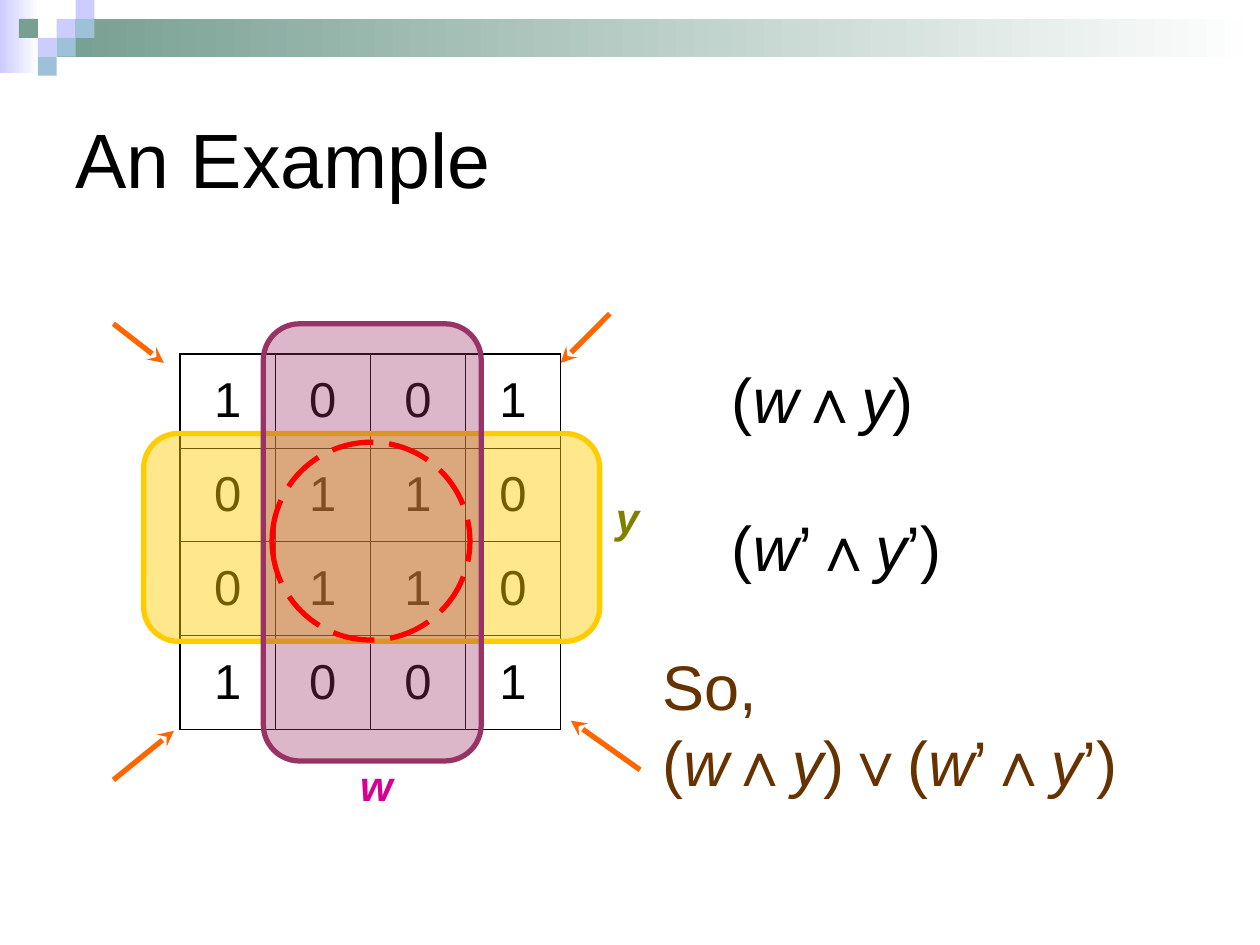
"""Build a slide that reads a Boolean expression off a four by four map."""
from itertools import groupby

from lxml.etree import SubElement
from pptx import Presentation
from pptx.dml.color import RGBColor
from pptx.enum.dml import MSO_LINE
from pptx.enum.shapes import MSO_CONNECTOR, MSO_SHAPE
from pptx.enum.text import MSO_ANCHOR, MSO_AUTO_SIZE, PP_ALIGN
from pptx.oxml import parse_xml
from pptx.oxml.ns import nsdecls, qn
from pptx.util import Inches, Pt

THEME = {
    "font": "Arial",
    "title": 44, "formula": 36, "cell": 28, "label": 24,
    "black": "000000", "white": "FFFFFF",
    "lilac": "CCCCFF", "green": "779F92", "sky": "9DC2D7",
    "yellow": "FFCC00", "plum": "993366", "red": "FF0000", "orange": "FF6600",
    "olive": "808000", "magenta": "D60093", "brown": "663300",
}


def write(frame, text, size, color, bold=False, before=0, align=PP_ALIGN.LEFT):
    """Fill a text frame, with the variables w and y in italics."""
    paragraph = frame.paragraphs[0]
    paragraph.alignment = align
    paragraph.space_before = Pt(before)
    for is_variable, letters in groupby(text, lambda letter: letter in "wy"):
        run = paragraph.add_run()
        run.text = "".join(letters)
        run.font.color.rgb = RGBColor.from_string(THEME[color])
        settings = {"name": THEME["font"], "size": Pt(THEME[size]),
                    "bold": bold, "italic": is_variable}
        for name, value in settings.items():
            setattr(run.font, name, value)


def add_shape(kind, box, fill=None, alpha=100, line=None):
    """Add a preset shape with an optional translucent fill and outline."""
    shape = slide.shapes.add_shape(kind, *map(Inches, box))
    shape.shadow.inherit = False
    if fill:
        shape.fill.solid()
        shape.fill.fore_color.rgb = RGBColor.from_string(THEME[fill])
        if alpha < 100:
            color = shape.fill._xPr.find(qn("a:solidFill"))[0]
            SubElement(color, qn("a:alpha"), val=str(alpha * 1000))
    else:
        shape.fill.background()
    if line:
        shape.line.color.rgb = RGBColor.from_string(THEME[line])
        shape.line.width = Pt(3)
    else:
        shape.line.fill.background()
    return shape


presentation = Presentation()
presentation.slide_width = Inches(10)
presentation.slide_height = Inches(7.5)
slide = presentation.slides.add_slide(presentation.slide_layouts[6])

for box, color in [((0, 0, 0.31, 0.58), "lilac"), ((0.45, 0.15, 9.55, 0.3), "green")]:
    band = add_shape(MSO_SHAPE.RECTANGLE, box)
    band.fill.gradient()
    band.fill.gradient_angle = 0
    for stop, name in zip(band.fill.gradient_stops, (color, "white")):
        stop.color.rgb = RGBColor.from_string(THEME[name])

SQUARE = 0.15
for column, row, color in [(3, 1, "lilac"), (4, 0, "lilac"), (4, 1, "sky"),
                           (2, 2, "lilac"), (1, 1, "green"), (3, 2, "sky"), (2, 3, "sky")]:
    add_shape(MSO_SHAPE.RECTANGLE, (column * SQUARE, row * SQUARE, SQUARE, SQUARE), color)

title = slide.shapes.add_textbox(Inches(0.5), Inches(0.5), Inches(9), Inches(1.5))
title.text_frame.word_wrap = True
title.text_frame.vertical_anchor = MSO_ANCHOR.MIDDLE
write(title.text_frame, "An Example", "title", "black")

VALUES = ["1001", "0110", "0110", "1001"]
LAST = len(VALUES) - 1
table = slide.shapes.add_table(4, 4, Inches(1.43), Inches(2.81), Inches(3.02), Inches(2.98)).table
for row, digits in enumerate(VALUES):
    for column, digit in enumerate(digits):
        cell = table.cell(row, column)
        cell.fill.background()
        cell.vertical_anchor = MSO_ANCHOR.MIDDLE
        write(cell.text_frame, digit, "cell", "black", before=7, align=PP_ALIGN.CENTER)
        outer_edges = {"lnL": column == 0, "lnR": column == LAST,
                       "lnT": row == 0, "lnB": row == LAST}
        for position, (edge, is_outer) in enumerate(outer_edges.items()):
            width = Pt(1.08 if is_outer else 0.45)
            border = parse_xml(
                f'<a:{edge} {nsdecls("a")} w="{width}"><a:solidFill>'
                f'<a:srgbClr val="{THEME["black"]}"/></a:solidFill></a:{edge}>')
            cell._tc.get_or_add_tcPr().insert(position, border)

for box, color, alpha in [((1.14, 3.44, 3.62, 1.65), "yellow", 45),
                          ((2.09, 2.57, 1.73, 3.47), "plum", 35)]:
    add_shape(MSO_SHAPE.ROUNDED_RECTANGLE, box, color, alpha, color)

circle = add_shape(MSO_SHAPE.OVAL, (2.16, 3.51, 1.57, 1.57), line="red")
circle.line.dash_style = MSO_LINE.LONG_DASH

for ends in [(0.9, 2.57, 1.3, 2.88), (0.9, 6.19, 1.38, 5.8),
             (4.84, 2.49, 4.45, 2.88), (5.08, 6.11, 4.53, 5.72)]:
    arrow = slide.shapes.add_connector(MSO_CONNECTOR.STRAIGHT, *map(Inches, ends))
    arrow.line.color.rgb = RGBColor.from_string(THEME["orange"])
    arrow.line.width = Pt(3)
    SubElement(arrow.line._get_or_add_ln(), qn("a:tailEnd"), type="stealth")
    SubElement(arrow._element.spPr, qn("a:effectLst"))

for text, box, size, color, bold, before in [
    ("y", (4.79, 3.85, 0.55, 0.5), "label", "olive", True, 15),
    ("w", (2.76, 5.98, 0.55, 0.5), "label", "magenta", True, 15),
    ("(w∧y)", (5.71, 2.81, 2.76, 0.7), "formula", "black", False, 22.5),
    ("(w’∧y’)", (5.71, 3.99, 1.97, 0.7), "formula", "black", False, 22.5),
    ("So, (w∧y)∨(w’∧y’)", (5.16, 5.09, 4.33, 0.7), "formula", "brown", False, 22.5),
]:
    frame = slide.shapes.add_textbox(*map(Inches, box)).text_frame
    frame.word_wrap = True
    frame.auto_size = MSO_AUTO_SIZE.SHAPE_TO_FIT_TEXT
    write(frame, text, size, color, bold, before)

presentation.save("out.pptx")
